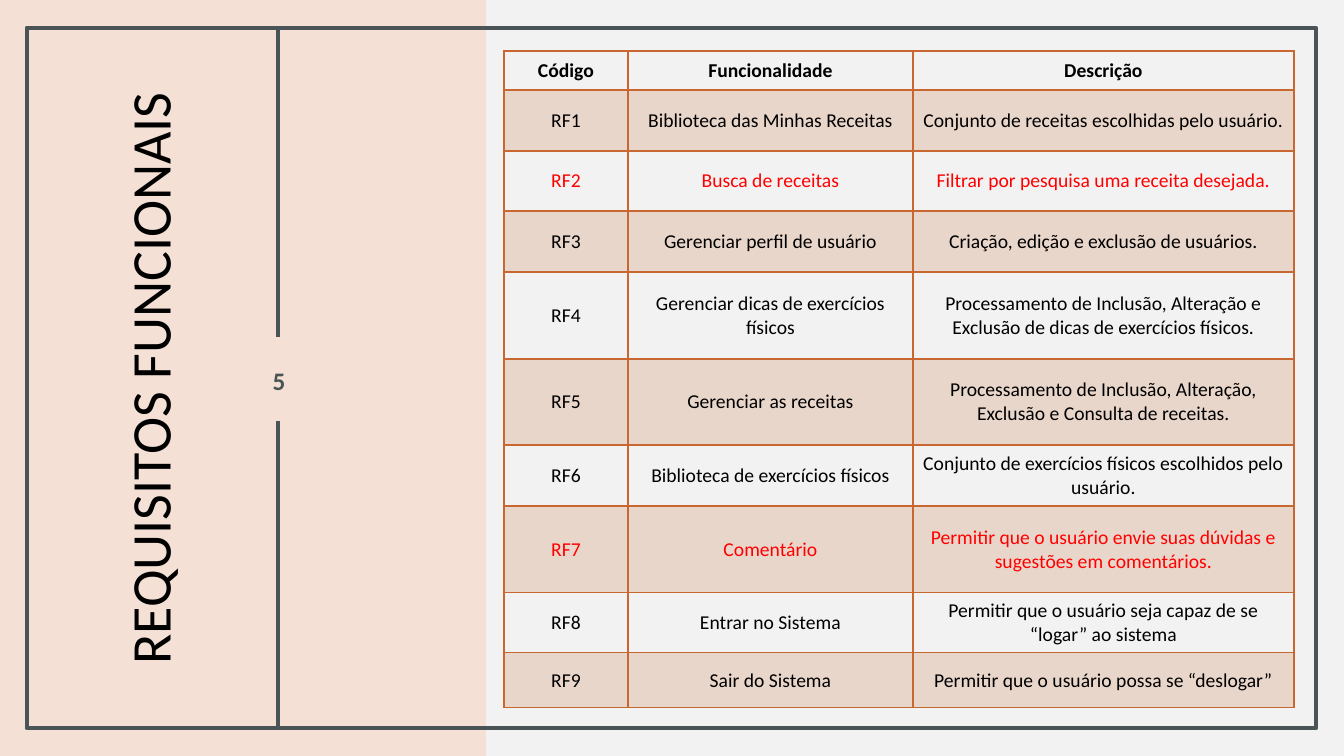
from lxml.etree import SubElement
from pptx import Presentation
from pptx.dml.color import RGBColor
from pptx.enum.shapes import MSO_CONNECTOR, MSO_SHAPE
from pptx.enum.text import MSO_ANCHOR, PP_ALIGN
from pptx.oxml import parse_xml
from pptx.oxml.ns import nsdecls, qn
from pptx.util import Emu, Pt

PX = 914400 / 100.8
COLORS = {
    "background": "F2F2F2",
    "panel": "F5E0D5",
    "frame": "4A5356",
    "accent": "C96731",
    "text": "000000",
    "highlight": "FF0000",
}


def px(*lengths):
    """Turn pixel lengths into a list of EMU lengths."""
    return [Emu(round(length * PX)) for length in lengths]


def write_text(text_frame, text, size=14, color="text", bold=False, spacing=None, line_spacing=None):
    paragraph = text_frame.paragraphs[0]
    paragraph.alignment = PP_ALIGN.CENTER
    if line_spacing:
        paragraph.line_spacing = line_spacing
    run = paragraph.add_run()
    run.text = text
    run.font.name = "Calibri"
    run.font.size = Pt(size)
    run.font.bold = bold
    run.font.color.rgb = RGBColor.from_string(COLORS[color])
    if spacing:
        run.font._element.set("spc", str(spacing))


presentation = Presentation()
presentation.slide_width, presentation.slide_height = px(1344, 756)
slide = presentation.slides.add_slide(presentation.slide_layouts[6])
slide.background.fill.solid()
slide.background.fill.fore_color.rgb = RGBColor.from_string(COLORS["background"])

# Side panel, frame and divider
panel = slide.shapes.add_shape(MSO_SHAPE.RECTANGLE, *px(0, 0, 486, 756))
panel.shadow.inherit = False
panel.fill.solid()
panel.fill.fore_color.rgb = RGBColor.from_string(COLORS["panel"])
panel.line.fill.background()

frame = slide.shapes.add_shape(MSO_SHAPE.RECTANGLE, *px(27, 28, 1289, 700))
frame.shadow.inherit = False
frame.fill.background()
frame.line.color.rgb = RGBColor.from_string(COLORS["frame"])
frame.line.width = Pt(3.5)

for top, bottom in [(28, 337), (421, 730)]:
    divider = slide.shapes.add_connector(MSO_CONNECTOR.STRAIGHT, *px(278, top, 278, bottom))
    divider.line.color.rgb = RGBColor.from_string(COLORS["frame"])
    divider.line.width = Pt(3.5)
    SubElement(divider._element.spPr, qn("a:effectLst"))

# Title and slide number
labels = [
    ("REQUISITOS FUNCIONAIS", (-193, 253, 691, 251), 270, (20, 0),
     {"size": 40, "line_spacing": 0.9}),
    ("5", (242, 338, 74, 84), 0, (0, 5),
     {"size": 18, "color": "frame", "bold": True, "spacing": 150}),
]
for text, box, rotation, (side, edge), text_format in labels:
    label = slide.shapes.add_textbox(*px(*box))
    label.rotation = rotation
    text_frame = label.text_frame
    text_frame.word_wrap = True
    text_frame.vertical_anchor = MSO_ANCHOR.MIDDLE
    text_frame.margin_left, text_frame.margin_right = px(side, side)
    text_frame.margin_top, text_frame.margin_bottom = px(edge, edge)
    write_text(text_frame, text, **text_format)

# Requirements table
requirements = [
    ("Código", "Funcionalidade", "Descrição"),
    ("RF1", "Biblioteca das Minhas Receitas", "Conjunto de receitas escolhidas pelo usuário."),
    ("RF2", "Busca de receitas", "Filtrar por pesquisa uma receita desejada."),
    ("RF3", "Gerenciar perfil de usuário", "Criação, edição e exclusão de usuários."),
    ("RF4", "Gerenciar dicas de exercícios físicos",
     "Processamento de Inclusão, Alteração e Exclusão de dicas de exercícios físicos."),
    ("RF5", "Gerenciar as receitas",
     "Processamento de Inclusão, Alteração, Exclusão e Consulta de receitas."),
    ("RF6", "Biblioteca de exercícios físicos",
     "Conjunto de exercícios físicos escolhidos pelo usuário."),
    ("RF7", "Comentário", "Permitir que o usuário envie suas dúvidas e sugestões em comentários."),
    ("RF8", "Entrar no Sistema", "Permitir que o usuário seja capaz de se “logar” ao sistema"),
    ("RF9", "Sair do Sistema", "Permitir que o usuário possa se “deslogar”"),
]
column_widths = px(124, 285, 381)
row_heights = px(39, 61, 60, 61, 87, 86, 61, 87, 60, 55)
highlighted_codes = {"RF2", "RF7"}

table = slide.shapes.add_table(
    len(requirements), len(column_widths), *px(504, 51, 790, 657)
).table
table.first_row = False
table.horz_banding = False
for column, width in zip(table.columns, column_widths):
    column.width = width

for row_index, (row, height, texts) in enumerate(zip(table.rows, row_heights, requirements)):
    row.height = height
    is_header = row_index == 0
    color = "highlight" if texts[0] in highlighted_codes else "text"
    for cell, text in zip(row.cells, texts):
        cell.vertical_anchor = MSO_ANCHOR.MIDDLE
        write_text(cell.text_frame, text, color=color, bold=is_header)
        if row_index % 2:
            cell.fill.solid()
            cell.fill.fore_color.rgb = RGBColor.from_string(COLORS["accent"])
            accent = cell._tc.tcPr.find(".//" + qn("a:srgbClr"))
            SubElement(accent, qn("a:alpha"), val="20000")
        else:
            cell.fill.background()
        for position, side in enumerate("LRTB"):
            width = Pt(2) if is_header and side == "B" else Pt(1)
            border = parse_xml(
                f'<a:ln{side} {nsdecls("a")} w="{width}"><a:solidFill>'
                f'<a:srgbClr val="{COLORS["accent"]}"/></a:solidFill></a:ln{side}>'
            )
            cell._tc.tcPr.insert(position, border)

presentation.save("out.pptx")
